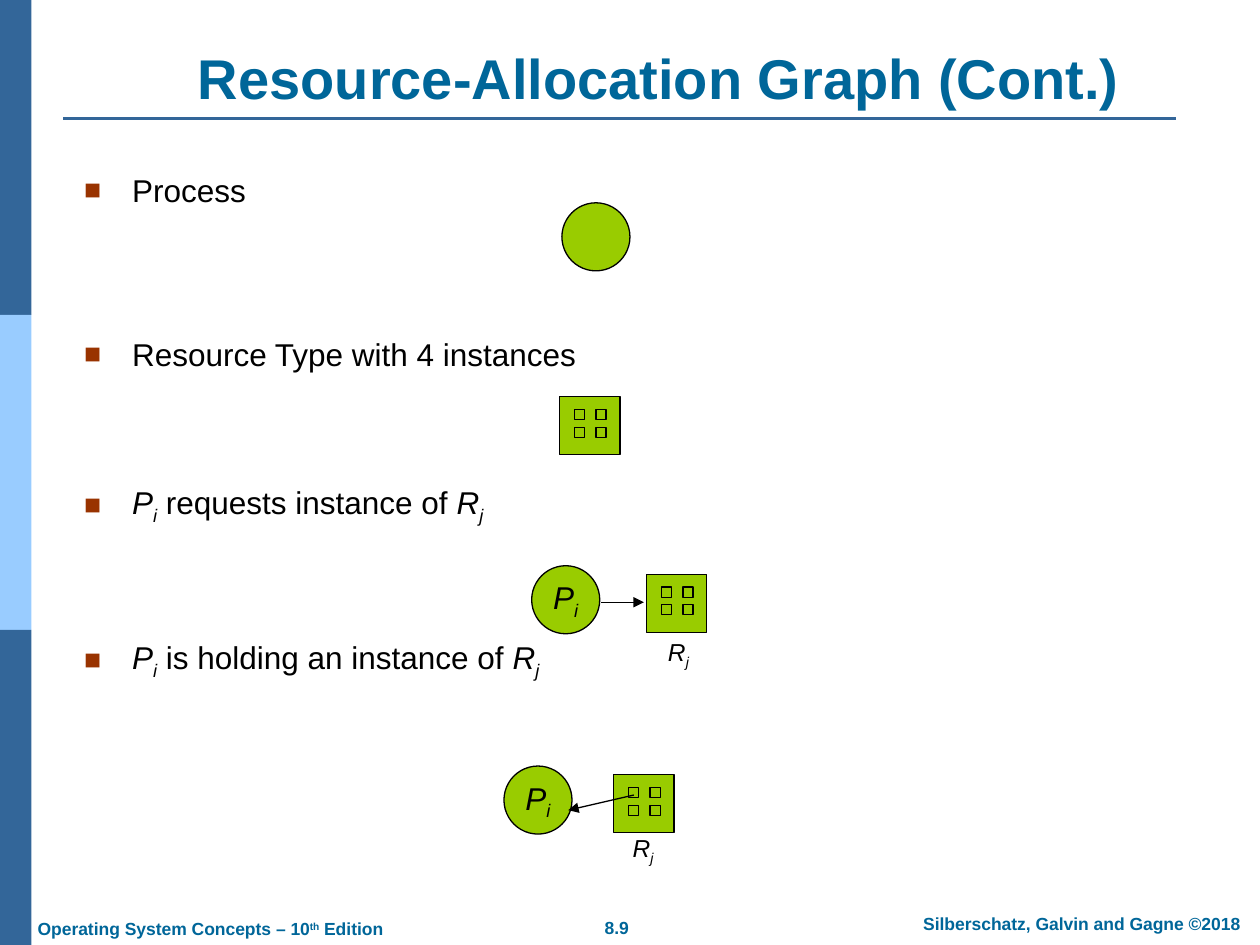
from lxml import etree
from pptx import Presentation
from pptx.dml.color import RGBColor
from pptx.enum.shapes import MSO_CONNECTOR, MSO_SHAPE
from pptx.enum.text import MSO_ANCHOR, PP_ALIGN
from pptx.oxml.ns import qn
from pptx.util import Inches, Pt

RECT, OVAL = MSO_SHAPE.RECTANGLE, MSO_SHAPE.OVAL
STRAIGHT = MSO_CONNECTOR.STRAIGHT
LEFT, CENTER = PP_ALIGN.LEFT, PP_ALIGN.CENTER
TOP, MIDDLE, BOTTOM = MSO_ANCHOR.TOP, MSO_ANCHOR.MIDDLE, MSO_ANCHOR.BOTTOM

NAVY = RGBColor(0x33, 0x66, 0x99)
SKY = RGBColor(0x99, 0xCC, 0xFF)
TEAL = RGBColor(0x00, 0x66, 0x99)
GREEN = RGBColor(0x99, 0xCC, 0x00)
BLACK = RGBColor(0, 0, 0)
BULLET_COLOR = "993300"
FONT = "Arial"

# Runs are (text, style) pairs; a style lists italic and baseline.
PLAIN, ITALIC = (False, 0), (True, 0)
SUB, SUPER = (True, -25000), (False, 30000)
P_I = [("P", ITALIC), ("i", SUB)]
R_J = [("R", ITALIC), ("j", SUB)]

TITLE = [("Resource-Allocation Graph (Cont.)", PLAIN)]
BULLETS = [  # space before in points, runs
    (0, [("Process", PLAIN)]),
    (72, [("Resource Type with 4 instances", PLAIN)]),
    (63, P_I + [(" requests instance of ", PLAIN)] + R_J),
    (64, P_I + [(" is holding an instance of ", PLAIN)] + R_J),
]
FOOTERS = [  # left, top, width, alignment, wrap, runs
    (4.65, 7.23, 0.49, CENTER, False, [("8.9", PLAIN)]),
    (7.1, 7.2, 2.97, CENTER, True,
     [("Silberschatz, Galvin and Gagne ©2018", PLAIN)]),
    (0.2, 7.24, 2.99, LEFT, False,
     [("Operating System Concepts – 10", PLAIN), ("th", SUPER),
      (" Edition", PLAIN)]),
]
SIDEBAR = [NAVY, SKY, NAVY]
PROCESSES = [(4.46, 1.61, []), (4.22, 4.49, P_I), (4, 6.08, P_I)]
RESOURCES = [(4.44, 3.15), (5.13, 4.56), (4.87, 6.15)]
EDGES = [((4.77, 4.78), (5.11, 4.78)), ((5.03, 6.31), (4.51, 6.43))]
RESOURCE_LABELS = [(5.2, 5.02), (4.92, 6.58)]

PROCESS_SIZE = 0.54
RESOURCE_SIZE = (0.48, 0.46)
INSTANCE_SIZE = 0.08
INSTANCE_OFFSET = (0.12, 0.1)
INSTANCE_PITCH = (0.17, 0.14)


def add_runs(paragraph, runs, size, color=BLACK, bold=False):
    for text, (italic, baseline) in runs:
        run = paragraph.add_run()
        run.text = text
        look = {"name": FONT, "size": Pt(size), "bold": bold, "italic": italic}
        for key, value in look.items():
            setattr(run.font, key, value)
        run.font.color.rgb = color
        if baseline:
            run._r.get_or_add_rPr().set("baseline", str(baseline))


def add_text(slide, box, runs, size, color=BLACK, bold=False,
             align=CENTER, anchor=TOP, wrap=False):
    frame = slide.shapes.add_textbox(*map(Inches, box)).text_frame
    frame.word_wrap = wrap
    frame.vertical_anchor = anchor
    frame.paragraphs[0].alignment = align
    add_runs(frame.paragraphs[0], runs, size, color, bold)


def add_block(shapes, kind, box, fill, line=BLACK):
    block = shapes.add_shape(kind, *map(Inches, box))
    block.shadow.inherit = False
    block.fill.solid()
    block.fill.fore_color.rgb = fill
    if line is None:
        block.line.fill.background()
    else:
        block.line.color.rgb = line
        block.line.width = Pt(0.75)
    return block


def add_line(slide, start, end, color, width, arrow=False):
    line = slide.shapes.add_connector(STRAIGHT, *map(Inches, start + end))
    line.line.color.rgb = color
    line.line.width = Pt(width)
    if arrow:
        etree.SubElement(line.line._get_or_add_ln(), qn("a:tailEnd"),
                         type="triangle")
    etree.SubElement(line._element.spPr, qn("a:effectLst"))


def add_bullet(paragraph):
    props = paragraph._p.get_or_add_pPr()
    indent = Inches(0.38)
    props.set("marL", str(indent))
    props.set("indent", str(-indent))
    color = etree.SubElement(props, qn("a:buClr"))
    etree.SubElement(color, qn("a:srgbClr"), val=BULLET_COLOR)
    etree.SubElement(props, qn("a:buSzPct"), val="90000")
    etree.SubElement(props, qn("a:buFont"), typeface=FONT)
    etree.SubElement(props, qn("a:buChar"), char="■")


def add_bullet_list(slide):
    frame = slide.shapes.add_textbox(
        *map(Inches, (0.57, 1.31, 9, 4.95))).text_frame
    frame.word_wrap = True
    for i, (space, runs) in enumerate(BULLETS):
        paragraph = frame.add_paragraph() if i else frame.paragraphs[0]
        add_bullet(paragraph)
        paragraph.space_before = Pt(space)
        add_runs(paragraph, runs, 18)


def add_process(slide, left, top, label):
    circle = add_block(slide.shapes, OVAL,
                       (left, top, PROCESS_SIZE, PROCESS_SIZE), GREEN)
    if label:
        frame = circle.text_frame
        frame.word_wrap = False
        frame.vertical_anchor = MIDDLE
        frame.paragraphs[0].alignment = CENTER
        add_runs(frame.paragraphs[0], label, 18)


def add_resource(slide, left, top):
    """Group a resource square with its two-by-two grid of instances."""
    shapes = slide.shapes.add_group_shape().shapes
    add_block(shapes, RECT, (left, top, *RESOURCE_SIZE), GREEN)
    for row in range(2):
        for col in range(2):
            x = left + INSTANCE_OFFSET[0] + col * INSTANCE_PITCH[0]
            y = top + INSTANCE_OFFSET[1] + row * INSTANCE_PITCH[1]
            add_block(shapes, RECT, (x, y, INSTANCE_SIZE, INSTANCE_SIZE), GREEN)


def add_title(slide):
    title = slide.shapes.title
    place = {"left": 0.96, "top": 0.3, "width": 8.54, "height": 0.63}
    for key, value in place.items():
        setattr(title, key, Inches(value))
    title.text_frame.vertical_anchor = BOTTOM
    title.text_frame.paragraphs[0].alignment = CENTER
    add_runs(title.text_frame.paragraphs[0], TITLE, 32, TEAL, True)


def main():
    prs = Presentation()
    prs.slide_width, prs.slide_height = Inches(10), Inches(7.5)
    slide = prs.slides.add_slide(prs.slide_layouts[5])

    band = 7.5 / len(SIDEBAR)
    for i, color in enumerate(SIDEBAR):
        add_block(slide.shapes, RECT, (0, i * band, 0.25, band), color, None)
    add_line(slide, (0.5, 0.94), (9.33, 0.94), NAVY, 1.5)
    for left, top, width, align, wrap, runs in FOOTERS:
        add_text(slide, (left, top, width, 0.27), runs, 10, TEAL, True,
                 align, wrap=wrap)

    add_title(slide)
    add_bullet_list(slide)
    for process in PROCESSES:
        add_process(slide, *process)
    for resource in RESOURCES:
        add_resource(slide, *resource)
    for start, end in EDGES:
        add_line(slide, start, end, BLACK, 0.75, arrow=True)
    for left, top in RESOURCE_LABELS:
        add_text(slide, (left, top, 0.37, 0.33), R_J, 14, anchor=MIDDLE)

    prs.save("out.pptx")


if __name__ == "__main__":
    main()
